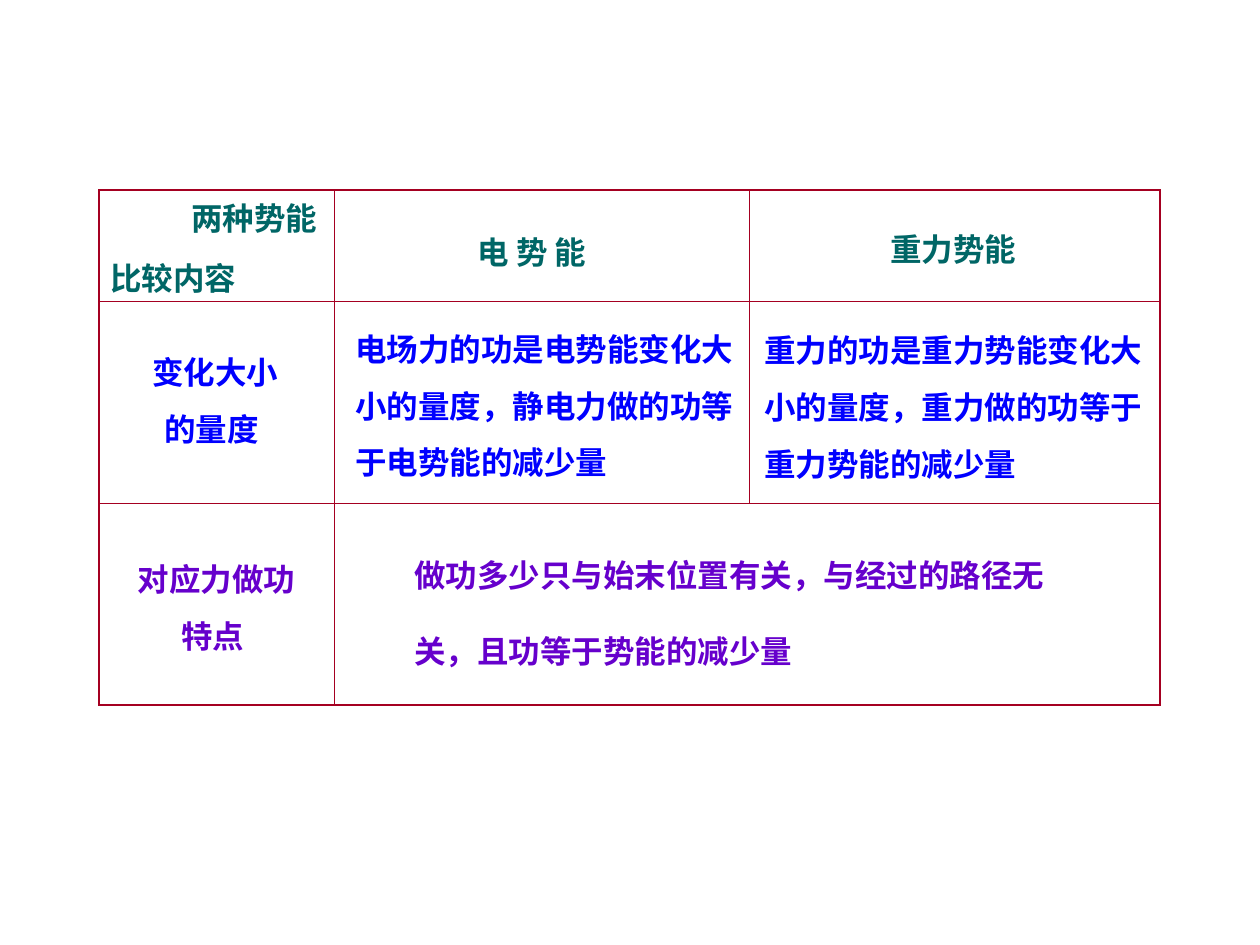
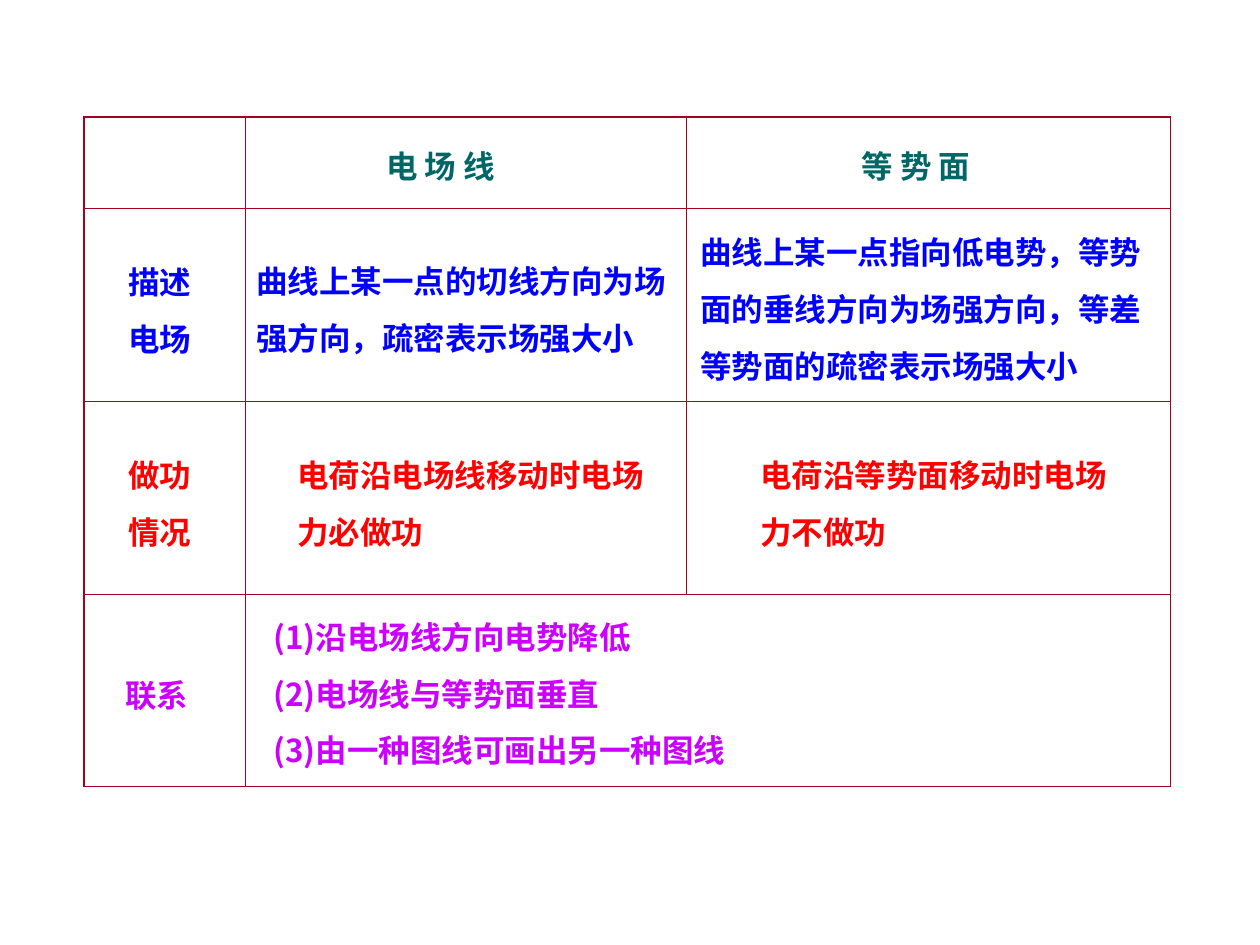
from typing import NamedTuple

from pptx import Presentation
from pptx import util as u
from pptx.dml.color import RGBColor
from pptx.enum import text
from pptx.oxml import ns
from lxml import etree

PX = 914400 / 126  # one px in EMU
FONT = "Noto Sans CJK SC"
TEXT_SIZE = u.Pt(18)
OUTER, INNER = u.Pt(0.75), u.Pt(0.45)
LINE_HEIGHT, INSETS = 38, 12  # px of single spacing, px of top plus bottom inset
PLAIN_TABLE = "{2D5ABB26-0587-4C30-8999-92F81FD0307C}"

BORDER = RGBColor(0xA5, 0x00, 0x21)
TEAL = RGBColor(0x00, 0x66, 0x66)
BLUE = RGBColor(0x00, 0x00, 0xFF)
RED = RGBColor(0xFF, 0x00, 0x00)
PURPLE = RGBColor(0x66, 0x00, 0xCC)
MAGENTA = RGBColor(0xCC, 0x00, 0xFF)


class Label(NamedTuple):
    """Text with its place relative to the table's top left corner."""
    left: int
    top: int
    width: int
    colour: RGBColor
    words: str
    spacing: float = 1.5
    centred: bool = False


def px(length):
    return u.Emu(round(length * PX))


def draw_border(cell, side, width):
    line = etree.SubElement(cell._tc.get_or_add_tcPr(), ns.qn(f"a:ln{side}"), w=str(width))
    fill = etree.SubElement(line, ns.qn("a:solidFill"))
    etree.SubElement(fill, ns.qn("a:srgbClr"), val=str(BORDER))


def add_grid(page, left, top, widths, heights):
    """Add the ruled table, whose last row joins all columns but the first."""
    rows, columns = len(heights), len(widths)
    frame = page.shapes.add_table(rows, columns, px(left), px(top),
                                  px(sum(widths)), px(sum(heights)))
    table = frame.table
    table.first_row = table.horz_banding = False
    table._tbl.tblPr.find(ns.qn("a:tableStyleId")).text = PLAIN_TABLE
    for column, width in zip(table.columns, widths):
        column.width = px(width)
    for row, height in zip(table.rows, heights):
        row.height = px(height)
    table.cell(rows - 1, 1).merge(table.cell(rows - 1, columns - 1))

    for r in range(rows):
        for c in range(columns):
            cell = table.cell(r, c)
            last_column = c + cell.span_width == columns if cell.is_merge_origin else c == columns - 1
            on_edge = {"L": c == 0, "R": last_column, "T": r == 0, "B": r == rows - 1}
            for side, outer in on_edge.items():
                if not (cell.is_spanned and side == "L"):
                    draw_border(cell, side, OUTER if outer else INNER)
            cell.fill.background()


def add_label(page, left, top, label):
    lines = label.words.split("\n")
    height = INSETS + LINE_HEIGHT * label.spacing * len(lines)
    box = page.shapes.add_textbox(px(left + label.left), px(top + label.top),
                                  px(label.width), px(height))
    frame = box.text_frame
    frame.word_wrap = True
    frame.auto_size = text.MSO_AUTO_SIZE.SHAPE_TO_FIT_TEXT
    frame.text = label.words
    for para in frame.paragraphs:
        para.line_spacing = label.spacing
        para.alignment = text.PP_ALIGN.CENTER if label.centred else text.PP_ALIGN.LEFT
        for span in para.runs:
            span.font.size = TEXT_SIZE
            span.font.bold = True
            span.font.color.rgb = label.colour
            span.font.name = FONT
            etree.SubElement(span._r.get_or_add_rPr(), ns.qn("a:ea"), typeface=FONT)


def add_comparison(deck, left, top, widths, heights, labels):
    page = deck.slides.add_slide(deck.slide_layouts[6])
    add_grid(page, left, top, widths, heights)
    for label in labels:
        add_label(page, left, top, label)


def add_potential_energy(deck):
    add_comparison(deck, 99, 190, [235, 415, 411], [111, 202, 202], [
        # Headings
        Label(80, -16, 205, TEAL, "两种势能"),
        Label(-1, 44, 205, TEAL, "比较内容"),
        Label(366, 18, 205, TEAL, "电 势 能"),
        Label(779, 15, 205, TEAL, "重力势能"),
        # Measure of change
        Label(-37, 138, 306, BLUE, "变化大小\n的量度 ", centred=True),
        Label(244, 115, 495, BLUE,
              "电场力的功是电势能变化大\n小的量度，静电力做的功等\n于电势能的减少量"),
        Label(653, 116, 480, BLUE,
              "重力的功是重力势能变化大\n小的量度，重力做的功等于\n重力势能的减少量"),
        # Work done
        Label(-18, 345, 271, PURPLE, "对应力做功\n特点 ", centred=True),
        Label(303, 322, 815, PURPLE,
              "做功多少只与始末位置有关，与经过的路径无\n关，且功等于势能的减少量", spacing=2.0),
    ])


def add_field_lines(deck):
    add_comparison(deck, 84, 117, [161, 441, 485], [91, 193, 193, 193], [
        # Headings
        Label(290, 5, 176, TEAL, "电 场 线"),
        Label(765, 5, 176, TEAL, "等 势 面"),
        # Describing the field
        Label(32, 121, 142, BLUE, "描述\n电场"),
        Label(160, 120, 504, BLUE, "曲线上某一点的切线方向为场\n强方向，疏密表示场强大小"),
        Label(604, 91, 527, BLUE,
              "曲线上某一点指向低电势，等势\n面的垂线方向为场强方向，等差\n等势面的疏密表示场强大小"),
        # Work done
        Label(32, 314, 174, RED, "做功\n情况"),
        Label(201, 314, 451, RED, "电荷沿电场线移动时电场\n力必做功"),
        Label(664, 314, 469, RED, "电荷沿等势面移动时电场\n力不做功"),
        # Relations
        Label(29, 534, 147, MAGENTA, "联系"),
        Label(177, 476, 532, MAGENTA,
              "(1)沿电场线方向电势降低\n(2)电场线与等势面垂直\n(3)由一种图线可画出另一种图线"),
    ])


def main():
    deck = Presentation()
    deck.slide_width, deck.slide_height = px(1260), px(945)
    add_potential_energy(deck)
    add_field_lines(deck)
    deck.save("out.pptx")


if __name__ == "__main__":
    main()
